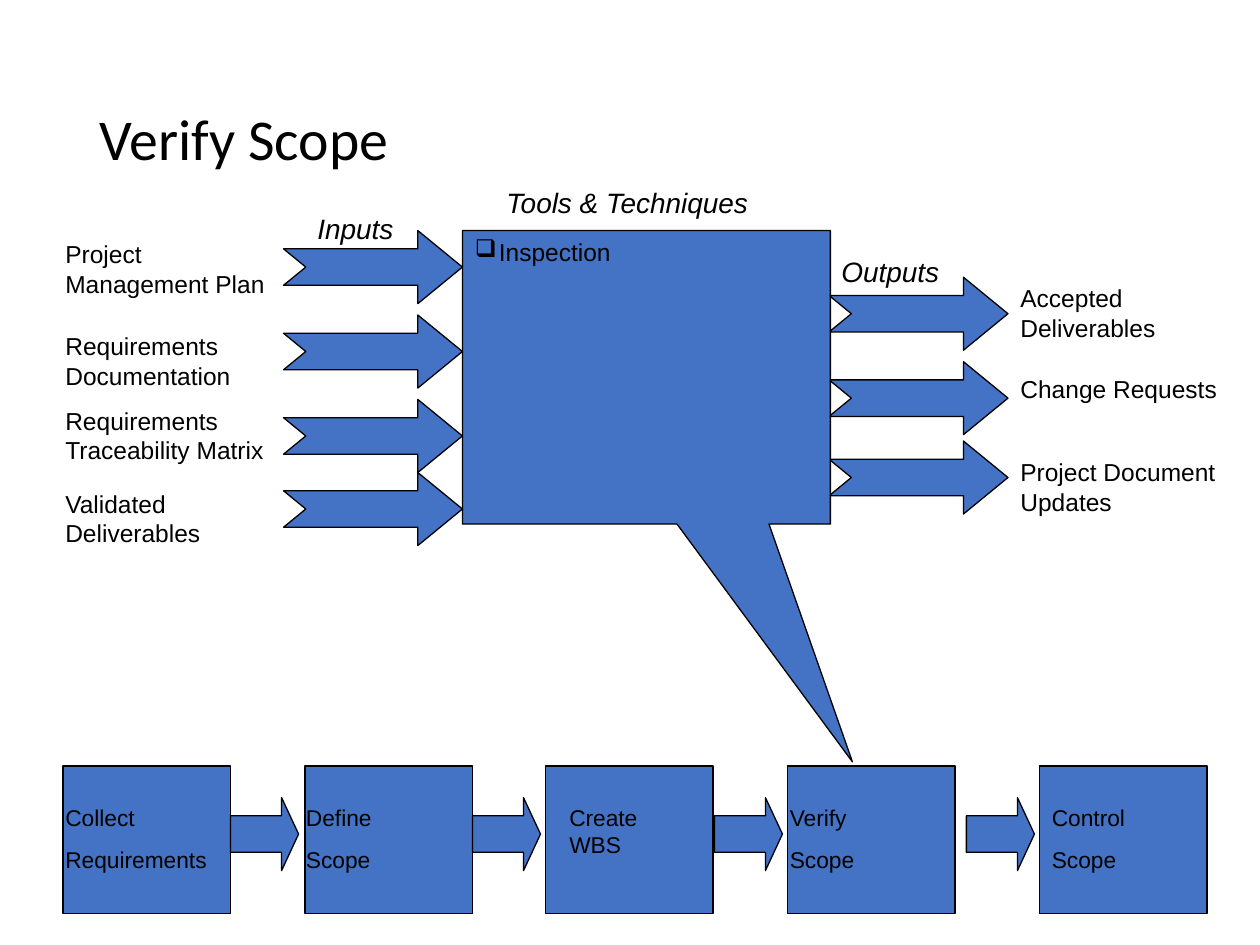
from lxml import etree
from pptx import Presentation
from pptx.dml.color import RGBColor
from pptx.enum import shapes, text
from pptx.oxml.ns import qn
from pptx.util import Inches, Pt

THEME = {
    "fill": RGBColor(0x44, 0x72, 0xC4),
    "ink": RGBColor(0, 0, 0),
    "title": {"name": "Calibri", "size": Pt(33)},
    "heading": {"name": "Arial", "size": Pt(16), "italic": True},
    "item": {"name": "Arial", "size": Pt(14)},
    "stage": {"name": "Arial", "size": Pt(13)},
    "space": {"heading": Pt(10), "item": Pt(8.8), "stage": Pt(8.1)},
}
SHAPE = shapes.MSO_SHAPE


def add_block(kind, x, y, w, h, adjustments=()):
    sp = s.shapes.add_shape(kind, Inches(x), Inches(y), Inches(w), Inches(h))
    sp.shadow.inherit = False
    sp.fill.solid()
    sp.fill.fore_color.rgb = THEME["fill"]
    sp.line.color.rgb = THEME["ink"]
    sp.line.width = Pt(0.75)
    for i, value in enumerate(adjustments):
        sp.adjustments[i] = value


def add_text(lines, style, x, y, w, h):
    """Add a text box with one paragraph per line and return its frame."""
    tf = s.shapes.add_textbox(Inches(x), Inches(y), Inches(w), Inches(h)).text_frame
    tf.word_wrap = True
    tf.auto_size = text.MSO_AUTO_SIZE.SHAPE_TO_FIT_TEXT
    tf.text = lines
    for p in tf.paragraphs:
        p.space_before = THEME["space"][style]
        for name, value in THEME[style].items():
            setattr(p.font, name, value)
        p.font.color.rgb = THEME["ink"]
    return tf


prs = Presentation()
prs.slide_width, prs.slide_height = Inches(10), Inches(7.5)
s = prs.slides.add_slide(prs.slide_layouts[5])

# Title
title = s.shapes.title
title.left, title.top, title.width, title.height = map(Inches, (0.69, 0.4, 8.63, 1.45))
tf = title.text_frame
tf.text = "Verify Scope"
tf.auto_size = text.MSO_AUTO_SIZE.NONE
tf.vertical_anchor = text.MSO_ANCHOR.MIDDLE
p = tf.paragraphs[0]
p.alignment = text.PP_ALIGN.LEFT
p.line_spacing = 0.9
for name, value in THEME["title"].items():
    setattr(p.font, name, value)
p.font.color.rgb = THEME["ink"]

# Input and output arrows around the tools callout
for x, tops in ((2.25, (1.83, 2.5, 3.17, 3.75)), (6.58, (2.2, 2.87, 3.5))):
    for y in tops:
        add_block(SHAPE.NOTCHED_RIGHT_ARROW, x, y, 1.42, 0.58, (0.5, 0.61))
add_block(SHAPE.RECTANGULAR_CALLOUT, 3.67, 1.83, 2.92, 2.33, (0.56, 1.31))

# Items
for label, x, y, w, h in (
    ("Project Management Plan", 0.42, 1.85, 1.92, 0.57),
    ("Requirements Documentation", 0.42, 2.58, 1.92, 0.57),
    ("Requirements Traceability Matrix", 0.42, 3.17, 1.83, 0.57),
    ("Validated Deliverables", 0.42, 3.83, 1.83, 0.57),
    ("Accepted Deliverables", 8, 2.2, 2, 0.57),
    ("Change Requests", 8, 2.92, 2, 0.34),
    ("Project Document Updates", 8, 3.58, 2, 0.57),
):
    add_text(label, "item", x, y, w, h)

tools = add_text("Inspection", "item", 3.67, 1.83, 2.92, 0.34)
pPr = tools.paragraphs[0]._p.get_or_add_pPr()
pPr.set("marL", str(Inches(0.19)))
pPr.set("indent", str(-Inches(0.19)))
bullet = etree.Element(qn("a:buChar"), char="❑")
pPr.find(qn("a:spcBef")).addnext(bullet)

# Headings
for label, x, y, w in (
    ("Inputs", 2.42, 1.63, 1.58),
    ("Tools & Techniques", 3.92, 1.42, 2.67),
    ("Outputs", 6.58, 1.97, 1.58),
):
    add_text(label, "heading", x, y, w, 0.37)

# Process chain: box left, arrow left, label, label left, label width, label height
for x, arrow_x, label, label_x, w, h in (
    (0.5, 1.83, "Collect\nRequirements", 0.42, 1.42, 0.65),
    (2.42, 3.75, "Define\nScope", 2.33, 1.42, 0.65),
    (4.33, 5.67, "Create WBS", 4.42, 1.17, 0.54),
    (6.25, 7.67, "Verify\nScope", 6.17, 1.42, 0.65),
    (8.25, None, "Control\nScope", 8.25, 1.33, 0.65),
):
    add_block(SHAPE.RECTANGLE, x, 6.08, 1.33, 1.17)
    if arrow_x is not None:
        add_block(SHAPE.RIGHT_ARROW, arrow_x, 6.33, 0.54, 0.58, (0.5, 0.25))
    add_text(label, "stage", label_x, 6.33, w, h)

prs.save("out.pptx")
